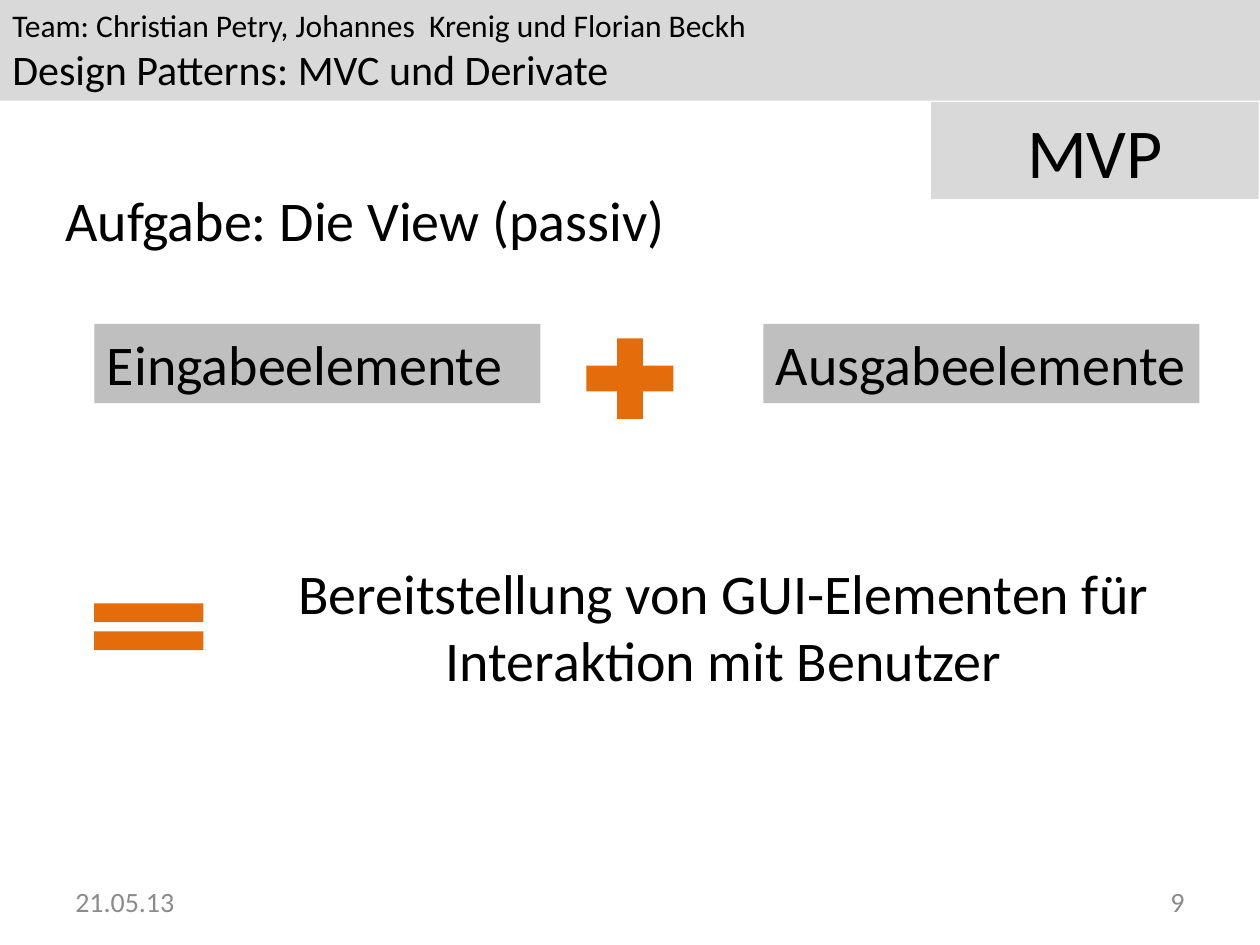
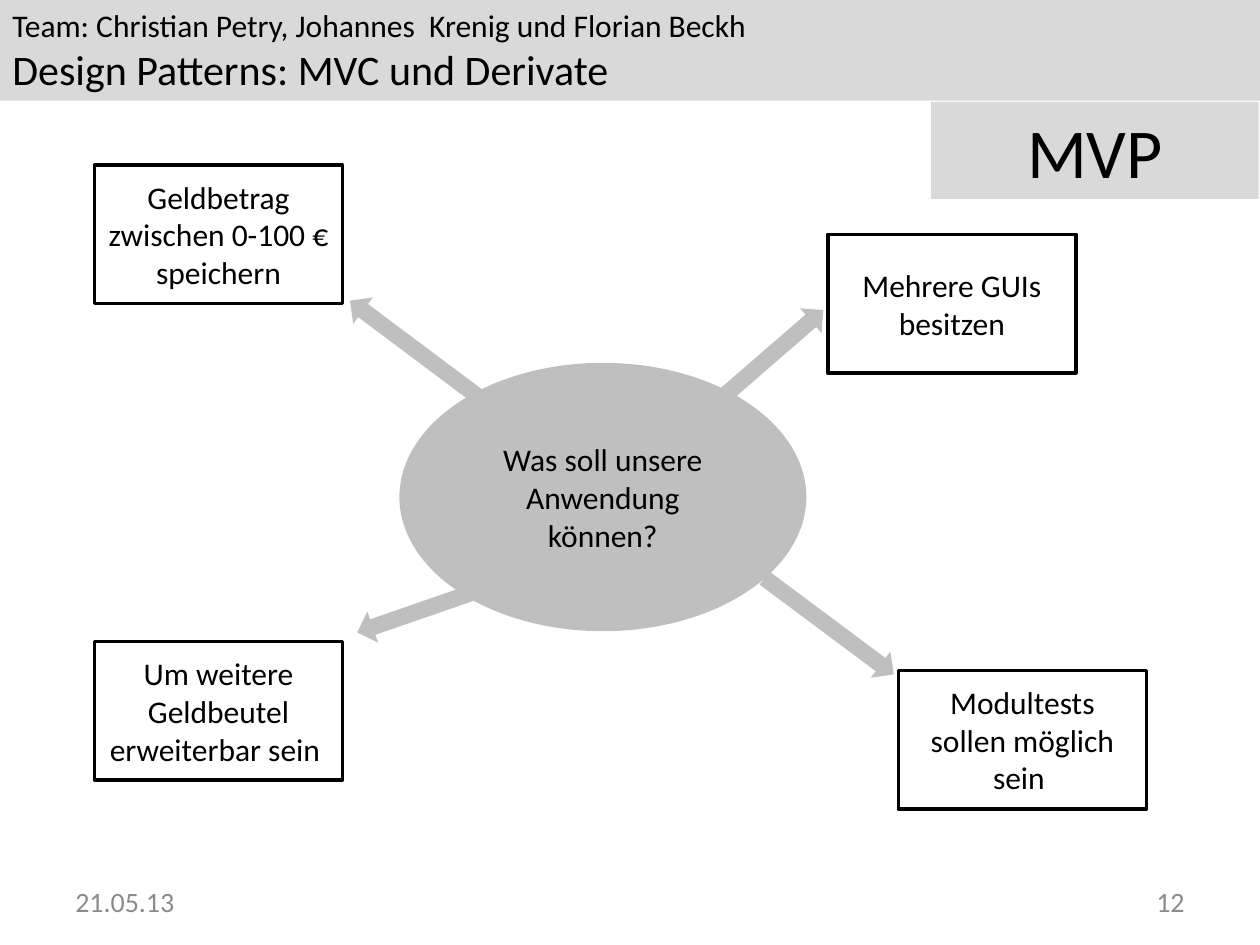
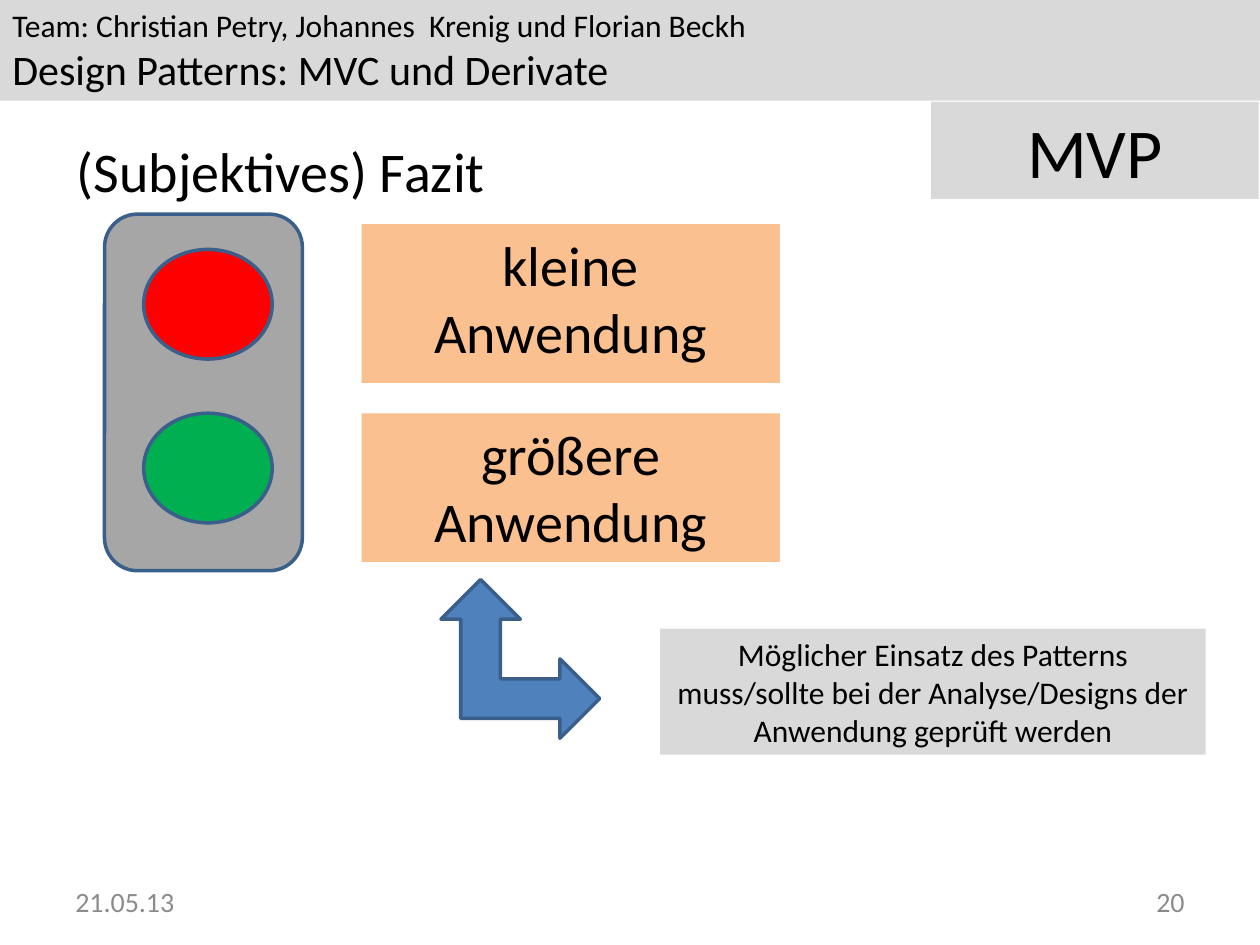
from pptx import Presentation
from pptx.dml.color import RGBColor
from pptx.enum.shapes import MSO_SHAPE
from pptx.enum.text import MSO_ANCHOR, PP_ALIGN
from pptx.util import Pt

PX = 9144
SLIDE_W, SLIDE_H = 1000, 750
FONT = "Calibri"
TEXT, LABEL, TAG, SUBTITLE, FOOTER = 32, 18, 40, 24, 16
LINE_PT = 2

COLORS = {
    "text": "000000",
    "paper": "FFFFFF",
    "band": "D9D9D9",
    "node": "BFBFBF",
    "housing": "A6A6A6",
    "footer": "8B8B8B",
    "sign": "E46C0A",
    "size": "FAC090",
    "arrow": "4F81BD",
    "outline": "3A5F8B",
    "red": "FF0000",
    "green": "00B050",
}

RECT = MSO_SHAPE.RECTANGLE
OVAL = MSO_SHAPE.OVAL
PLUS = MSO_SHAPE.MATH_PLUS
EQUAL = MSO_SHAPE.MATH_EQUAL
RIGHT_ARROW = MSO_SHAPE.RIGHT_ARROW
CORNER_ARROW = MSO_SHAPE.LEFT_UP_ARROW
HOUSING = MSO_SHAPE.FLOWCHART_ALTERNATE_PROCESS
LEFT, CENTER, RIGHT = PP_ALIGN.LEFT, PP_ALIGN.CENTER, PP_ALIGN.RIGHT
TOP, MIDDLE = MSO_ANCHOR.TOP, MSO_ANCHOR.MIDDLE


def rgb(name):
    return RGBColor.from_string(COLORS[name])


def emu(box):
    return [v * PX for v in box]


def within(box, x, y, w, h):
    return box[0] + x, box[1] + y, w, h


def write(sp, lines, align=LEFT, anchor=TOP, color="text"):
    tf = sp.text_frame
    tf.word_wrap = True
    tf.vertical_anchor = anchor
    for i, (text, size) in enumerate(lines):
        p = tf.add_paragraph() if i else tf.paragraphs[0]
        p.alignment = align
        r = p.add_run()
        r.text = text
        r.font.name = FONT
        r.font.size = Pt(size)
        r.font.color.rgb = rgb(color)


def add_text(slide, box, text, size=TEXT, align=LEFT, anchor=MIDDLE, color="text"):
    sp = slide.shapes.add_textbox(*emu(box))
    write(sp, [(text, size)], align, anchor, color)


def add_shape(slide, kind, box, fill, line=None, adj=()):
    sp = slide.shapes.add_shape(kind, *emu(box))
    sp.shadow.inherit = False
    sp.fill.solid()
    sp.fill.fore_color.rgb = rgb(fill)
    if line:
        sp.line.color.rgb = rgb(line)
        sp.line.width = Pt(LINE_PT)
    else:
        sp.line.fill.background()
    for i, value in enumerate(adj):
        sp.adjustments[i] = value
    return sp


def add_label(slide, kind, box, fill, text, size, align=CENTER, anchor=TOP, line=None):
    write(add_shape(slide, kind, box, fill, line), [(text, size)], align, anchor)


def add_header(slide, box):
    band = add_shape(slide, RECT, box, "band")
    write(band, [
        ("Team: Christian Petry, Johannes  Krenig und Florian Beckh", LABEL),
        ("Design Patterns: MVC und Derivate", SUBTITLE),
    ])
    add_label(slide, RECT, within(box, 739, 81, 260, 77), "band", "MVP", TAG)


def add_footer(slide, box, number):
    w, h = 233, box[3]
    for x, text, align in ((0, "21.05.13", LEFT), (box[2] - w, str(number), RIGHT)):
        add_text(slide, within(box, x, 0, w, h), text, FOOTER, align, color="footer")


def add_view_task(slide, box):
    add_text(slide, within(box, 42, 43, 900, 102), "Aufgabe: Die View (passiv)")
    for x, w, text in ((75, 354, "Eingabeelemente"), (606, 346, "Ausgabeelemente")):
        add_label(slide, RECT, within(box, x, 177, w, 63), "node", text, TEXT, LEFT)
    add_shape(slide, PLUS, within(box, 453, 177, 94, 87), "sign", adj=(0.235,))
    add_shape(slide, EQUAL, within(box, 59, 386, 118, 63), "sign", adj=(0.235, 0.118))
    add_text(slide, within(box, 216, 358, 717, 118),
             "Bereitstellung von GUI-Elementen für Interaktion mit Benutzer",
             align=CENTER, anchor=TOP)


def add_requirements(slide, box):
    add_label(slide, OVAL, within(box, 317, 208, 323, 213), "node",
              "Was soll unsere Anwendung können?", LABEL, anchor=MIDDLE)
    requirements = [
        ("Geldbetrag zwischen 0-100 € speichern", 75, 51, 265, 184, 216.8),
        ("Mehrere GUIs besitzen", 657, 106, 541, 195, 319.1),
        ("Um weitere Geldbeutel erweiterbar sein ", 75, 429, 280, 388, 160.9),
        ("Modultests sollen möglich sein ", 713, 452, 594, 404, 36.7),
    ]
    for text, x, y, arrow_x, arrow_y, angle in requirements:
        add_label(slide, RECT, within(box, x, y, 197, 110), "paper", text, LABEL,
                  anchor=MIDDLE, line="text")
        arrow = add_shape(slide, RIGHT_ARROW, within(box, arrow_x, arrow_y, 128, 26),
                          "node", adj=(0.5, 0.5))
        arrow.rotation = angle


def add_traffic_light(slide, box):
    add_shape(slide, HOUSING, box, "housing", "outline")
    for i, color in enumerate(("red", "green")):
        add_shape(slide, OVAL, within(box, 31, 28 + i * 130, 102, 87), color, "outline")


def add_conclusion(slide, box):
    add_text(slide, within(box, 51, 4, 900, 102), "(Subjektives) Fazit")
    for y, h, text in ((98, 126, "kleine Anwendung"), (248, 118, "größere Anwendung")):
        add_label(slide, RECT, within(box, 287, y, 332, h), "size", text, TEXT)
    arrow = add_shape(slide, CORNER_ARROW, within(box, 350, 380, 126, 126),
                      "arrow", "outline", (0.25, 0.25, 0.25))
    arrow.element.spPr.xfrm.set("flipH", "1")
    add_label(slide, RECT, within(box, 524, 419, 433, 100), "band",
              "Möglicher Einsatz des Patterns muss/sollte bei der Analyse/Designs "
              "der Anwendung geprüft werden", LABEL)
    add_traffic_light(slide, within(box, 83, 90, 157, 283))


def main():
    prs = Presentation()
    prs.slide_width, prs.slide_height = SLIDE_W * PX, SLIDE_H * PX
    blank = prs.slide_layouts[6]
    header = (0, 0, SLIDE_W, 80)
    body = (0, 80, SLIDE_W, 615)
    footer = (50, 695, 900, 40)
    pages = ((9, add_view_task), (12, add_requirements), (20, add_conclusion))
    for number, add_body in pages:
        slide = prs.slides.add_slide(blank)
        add_header(slide, header)
        add_body(slide, body)
        add_footer(slide, footer, number)
    prs.save("out.pptx")


if __name__ == "__main__":
    main()
